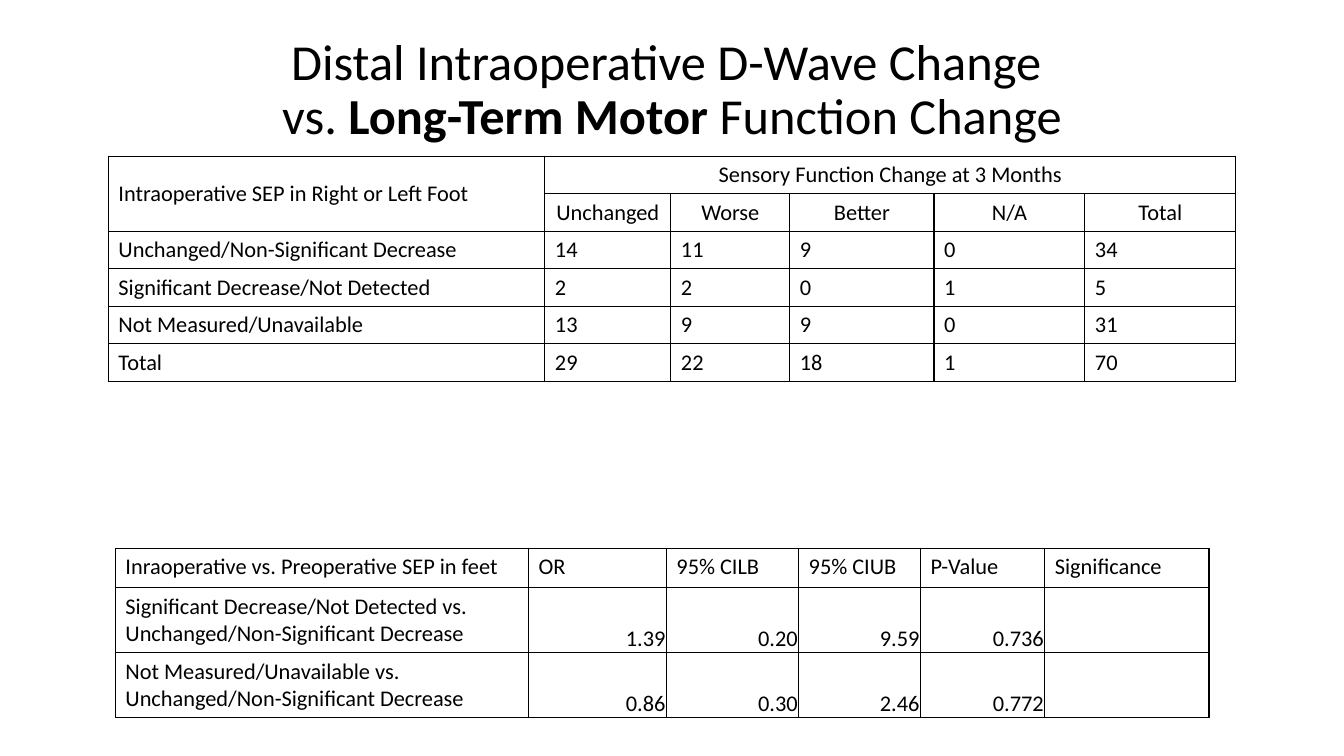
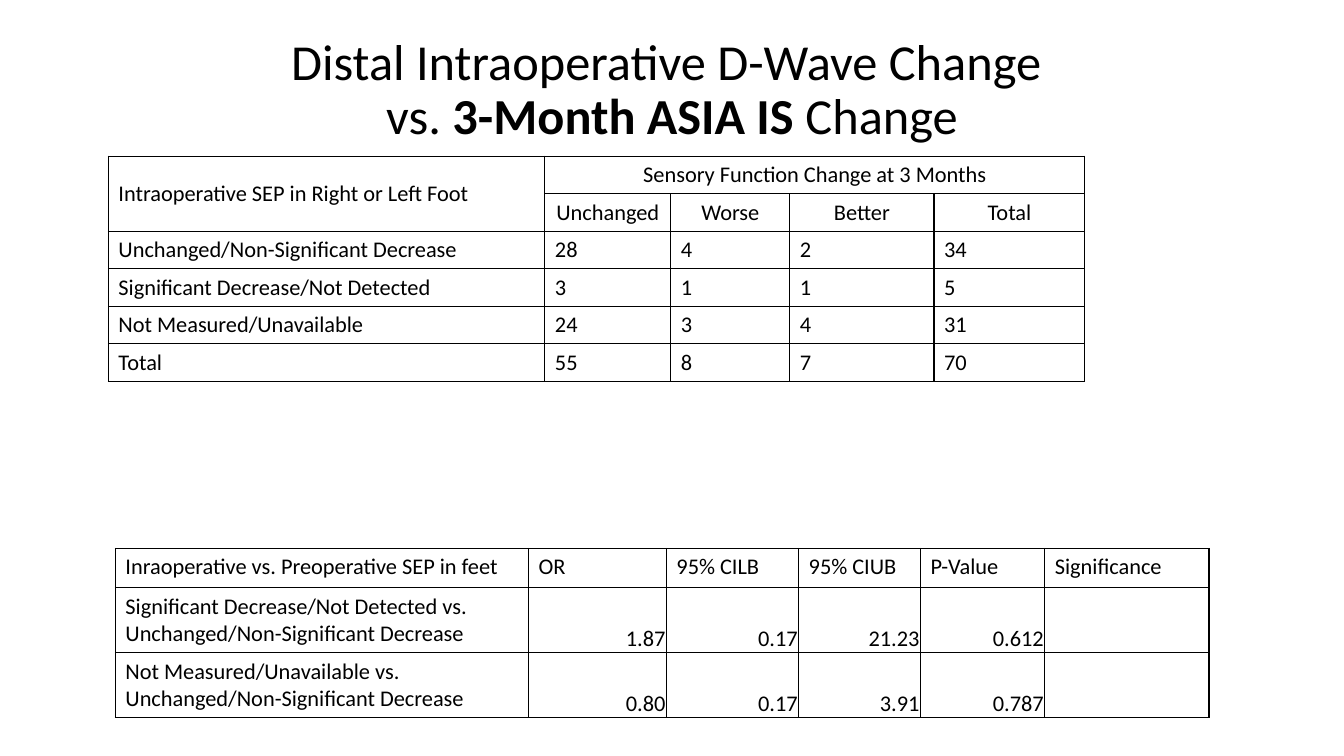
from dataclasses import dataclass

from lxml.etree import SubElement
from pptx import Presentation
from pptx.dml.color import RGBColor as RGB
from pptx.enum.text import MSO_ANCHOR as ANCHOR, PP_ALIGN as ALIGN
from pptx.oxml.ns import qn
from pptx.util import Pt


@dataclass(frozen=True)
class Theme:
    font: str = "Calibri"
    ink: RGB = RGB(0, 0, 0)
    head: Pt = Pt(36)
    body: Pt = Pt(16)
    rule: Pt = Pt(1)


THEME = Theme()
LEFT = {"alignment": ALIGN.LEFT}
MID = {"alignment": ALIGN.CENTER}
RIGHT = {"alignment": ALIGN.RIGHT}
CENTRED = {"vertical_anchor": ANCHOR.MIDDLE}
TIGHT = {"vertical_anchor": ANCHOR.BOTTOM, "margin_left": Pt(0.72),
         "margin_top": Pt(0.72), "margin_right": Pt(0.72), "margin_bottom": Pt(0)}

GROUPS = ["Unchanged/Non-Significant Decrease",
          "Significant Decrease/Not Detected",
          "Not Measured/Unavailable"]
COUNT_WIDTHS = [311.8, 90, 85, 103, 107.8, 107.8]
ODDS_WIDTHS = [295.2, 98.4, 94.5, 87, 88.8, 117.3]
ODDS_HEADS = ["Inraoperative vs. Preoperative SEP in feet",
              "OR", "95% CILB", "95% CIUB", "P-Value", "Significance"]

SLIDES = [
    {"bold": "Long-Term Motor ", "rest": "Function Change",
     "heads": ["Unchanged", "Worse", "Better", "N/A", "Total"],
     "counts": [[14, 11, 9, 0, 34], [2, 2, 0, 1, 5],
                [13, 9, 9, 0, 31], [29, 22, 18, 1, 70]],
     "odds": [["1.39", "0.20", "9.59", "0.736"],
              ["0.86", "0.30", "2.46", "0.772"]]},
    {"bold": "3-Month ASIA IS ", "rest": "Change",
     "heads": ["Unchanged", "Worse", "Better", "Total"],
     "counts": [[28, 4, 2, 34], [3, 1, 1, 5],
                [24, 3, 4, 31], [55, 8, 7, 70]],
     "odds": [["1.87", "0.17", "21.23", "0.612"],
              ["0.80", "0.17", "3.91", "0.787"]]},
]


def add_run(para, text, size, bold=False):
    run = para.add_run()
    run.text = text
    look = {"name": THEME.font, "size": size, "bold": bold}
    for key, value in look.items():
        setattr(run.font, key, value)
    run.font.color.rgb = THEME.ink


def add_grid(slide, left, top, widths, heights, rows, style):
    """Draw a ruled table; style(row, col) gives the cell and paragraph formats."""
    frame = slide.shapes.add_table(len(rows), len(widths), Pt(left), Pt(top),
                                   Pt(sum(widths)), Pt(sum(heights)))
    grid = frame.table
    grid.first_row = grid.horz_banding = False
    for col, width in zip(grid.columns, widths):
        col.width = Pt(width)
    for row, height in zip(grid.rows, heights):
        row.height = Pt(height)
    for r, texts in enumerate(rows):
        for c, text in enumerate(texts):
            cell = grid.cell(r, c)
            para = cell.text_frame.paragraphs[0]
            for item, look in zip((cell, para), style(r, c)):
                for key, value in look.items():
                    setattr(item, key, value)
            if text != "":
                add_run(para, str(text), THEME.body)
            props = cell._tc.get_or_add_tcPr()
            for side in ("lnL", "lnR", "lnT", "lnB"):
                line = SubElement(props, qn(f"a:{side}"), w=str(THEME.rule))
                fill = SubElement(line, qn("a:solidFill"))
                SubElement(fill, qn("a:srgbClr"), val=str(THEME.ink))
            cell.fill.background()
    return grid


deck = Presentation()
deck.slide_width, deck.slide_height = Pt(960), Pt(540)

for data in SLIDES:
    slide = deck.slides.add_slide(deck.slide_layouts[5])

    title = slide.shapes.title
    place = {"left": 66, "top": 21, "width": 828, "height": 88.5}
    for key, value in place.items():
        setattr(title, key, Pt(value))
    title.text_frame.vertical_anchor = ANCHOR.MIDDLE
    para = title.text_frame.paragraphs[0]
    para.alignment, para.line_spacing = ALIGN.CENTER, 0.9
    add_run(para, "Distal Intraoperative D-Wave Change ", THEME.head)
    para.add_line_break()
    SubElement(para._p[-1], qn("a:rPr"), sz=str(int(THEME.head.pt * 100)))
    add_run(para, "vs. ", THEME.head)
    add_run(para, data["bold"], THEME.head, True)
    add_run(para, data["rest"], THEME.head)

    heads = data["heads"]
    span = len(heads)
    rows = [["Intraoperative SEP in Right or Left Foot",
             "Sensory Function Change at 3 Months"] + [""] * (span - 1),
            [""] + heads]
    rows += [[name] + nums for name, nums in zip(GROUPS + ["Total"], data["counts"])]
    grid = add_grid(slide, 77.4, 111.6, COUNT_WIDTHS[:span + 1], [26.8] * len(rows), rows,
                    lambda r, c: (CENTRED if r == 0 else {}, MID if r < 2 and c else LEFT))
    grid.cell(0, 0).merge(grid.cell(1, 0))
    grid.cell(0, 1).merge(grid.cell(0, span))

    rows = [ODDS_HEADS]
    rows += [[f"{name} vs. {GROUPS[0]}"] + nums + [""]
             for name, nums in zip(GROUPS[1:], data["odds"])]
    add_grid(slide, 82.4, 391.7, ODDS_WIDTHS, [28.2, 46.4, 46.4], rows,
             lambda r, c: (TIGHT, RIGHT) if r and 0 < c < 5 else ({}, LEFT))

deck.save("out.pptx")
